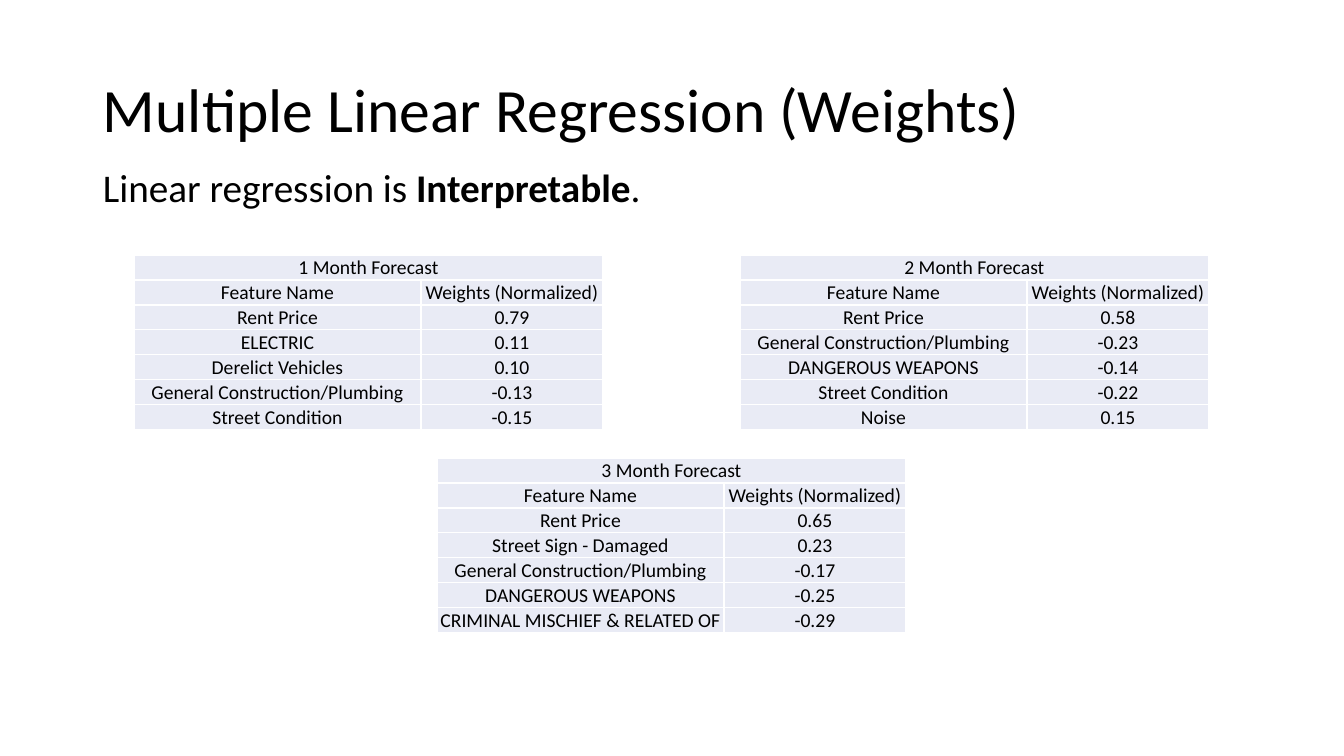
from pptx import Presentation
from pptx.dml.color import RGBColor
from pptx.enum.text import MSO_ANCHOR as Anchor, PP_ALIGN as Align
from pptx.oxml import parse_xml
from pptx.oxml.ns import nsdecls
from pptx.util import Pt

PIXEL = 914400 / 100.8
BLACK = RGBColor(0x00, 0x00, 0x00)
WHITE = RGBColor(0xFF, 0xFF, 0xFF)
CELL_FILL = RGBColor(0xE9, 0xEB, 0xF5)


def px(*lengths):
    return [round(length * PIXEL) for length in lengths]


def add_run(paragraph, text, size, bold=False):
    run = paragraph.add_run()
    run.text = text
    font_format = {"name": "Calibri", "size": Pt(size), "bold": bold}
    for name, value in font_format.items():
        setattr(run.font, name, value)
    run.font.color.rgb = BLACK


presentation = Presentation()
presentation.slide_width, presentation.slide_height = px(1344, 756)
slide = presentation.slides.add_slide(presentation.slide_layouts[6])

# Title and statement
headings = [
    (40, 146, Anchor.MIDDLE, 44, 0,
     [("Multiple Linear Regression (Weights)", False)]),
    (164, 60, Anchor.TOP, 28, 10,
     [("Linear regression is ", False), ("Interpretable", True), (".", False)]),
]
for top, height, anchor, size, space_before, runs in headings:
    text_frame = slide.shapes.add_textbox(*px(93, top, 1159, height)).text_frame
    text_frame.word_wrap = True
    text_frame.vertical_anchor = anchor
    paragraph = text_frame.paragraphs[0]
    paragraph.line_spacing = 0.9
    paragraph.space_before = Pt(space_before)
    for text, bold in runs:
        add_run(paragraph, text, size, bold)

# Forecast tables
COLUMN_WIDTHS = px(287, 182)
ROW_HEIGHT = 25
HEADER = ("Feature Name", "Weights (Normalized)")
forecasts = [
    ("1 Month Forecast", 134, 255, [
        ("Rent Price", "0.79"),
        ("ELECTRIC", "0.11"),
        ("Derelict Vehicles", "0.10"),
        ("General Construction/Plumbing", "-0.13"),
        ("Street Condition", "-0.15"),
    ]),
    ("2 Month Forecast", 740, 255, [
        ("Rent Price", "0.58"),
        ("General Construction/Plumbing", "-0.23"),
        ("DANGEROUS WEAPONS", "-0.14"),
        ("Street Condition", "-0.22"),
        ("Noise", "0.15"),
    ]),
    ("3 Month Forecast", 437, 458, [
        ("Rent Price", "0.65"),
        ("Street Sign - Damaged", "0.23"),
        ("General Construction/Plumbing", "-0.17"),
        ("DANGEROUS WEAPONS", "-0.25"),
        ("CRIMINAL MISCHIEF & RELATED OF", "-0.29"),
    ]),
]
inset, row_height = px(1, ROW_HEIGHT)
cell_format = {
    "margin_left": inset, "margin_right": inset, "margin_top": inset,
    "margin_bottom": 0, "vertical_anchor": Anchor.BOTTOM,
}
for title, left, top, weights in forecasts:
    rows = [(title, ""), HEADER, *weights]
    frame = slide.shapes.add_table(
        len(rows), 2, *px(left, top, 469, ROW_HEIGHT * len(rows)))
    table = frame.table
    table.first_row = table.horz_banding = False
    for column, width in zip(table.columns, COLUMN_WIDTHS):
        column.width = width
    table.cell(0, 0).merge(table.cell(0, 1))
    for row, texts in zip(table.rows, rows):
        row.height = row_height
        for cell, text in zip(row.cells, texts):
            for name, value in cell_format.items():
                setattr(cell, name, value)
            cell.fill.solid()
            cell.fill.fore_color.rgb = CELL_FILL
            # Borders come before the fill in the cell properties
            properties = cell._tc.get_or_add_tcPr()
            for index, side in enumerate("LRTB"):
                properties.insert(index, parse_xml(
                    f'<a:ln{side} {nsdecls("a")} w="{Pt(1)}"><a:solidFill>'
                    f'<a:srgbClr val="{WHITE}"/></a:solidFill></a:ln{side}>'))
            if text:
                paragraph = cell.text_frame.paragraphs[0]
                paragraph.alignment = Align.CENTER
                add_run(paragraph, text, 14)

presentation.save("out.pptx")
